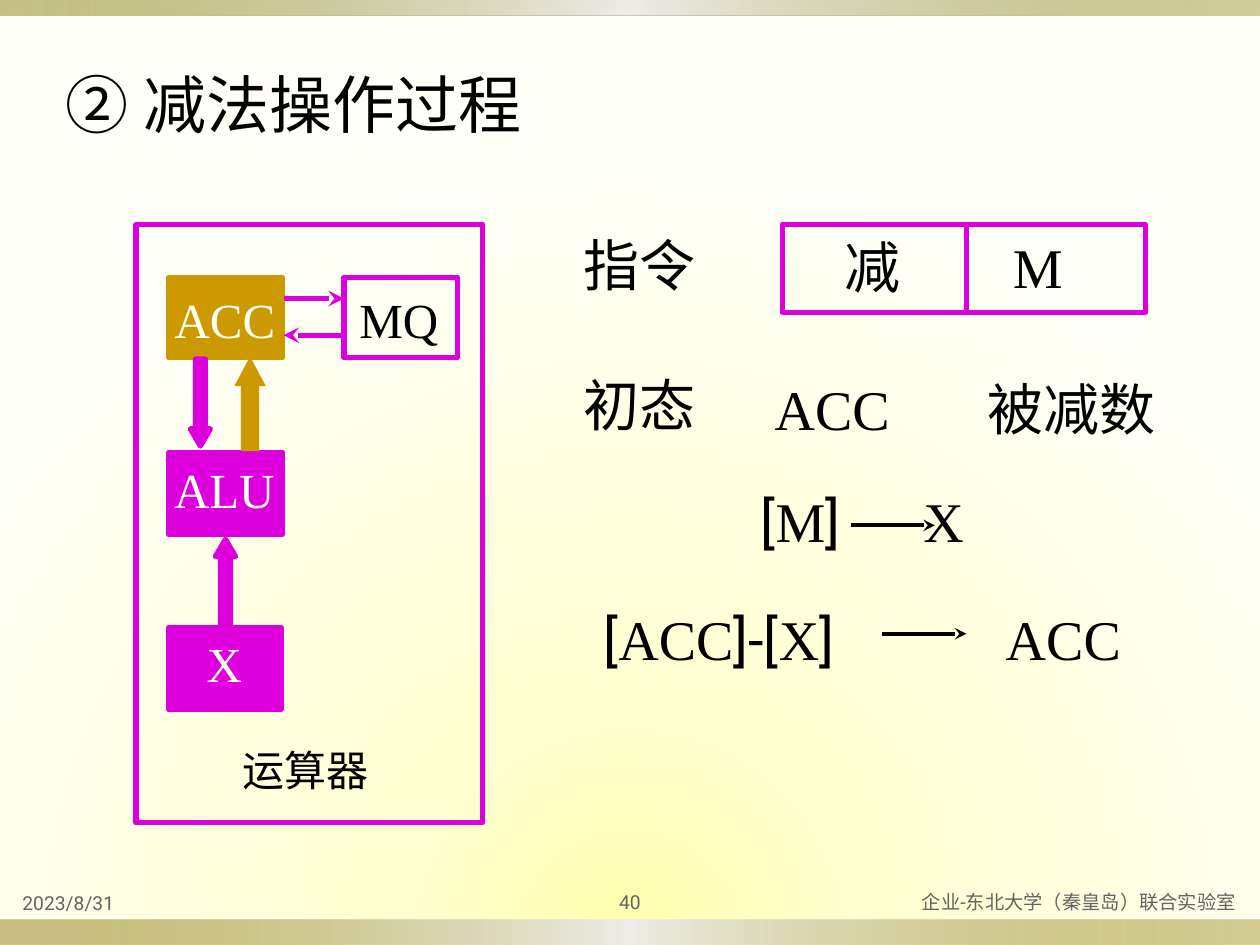
from typing import NamedTuple

from pptx import Presentation
from pptx.dml.color import RGBColor
from pptx.enum.shapes import MSO_CONNECTOR as Conn, MSO_SHAPE as Form
from pptx.enum.text import MSO_ANCHOR as Anchor, PP_ALIGN as Align
from pptx.oxml import parse_xml
from pptx.oxml.ns import nsdecls, qn
from pptx.util import Emu, Pt

PX = 9144  # 100 px to the inch
PINK, GOLD, BLACK, CREAM, GREY = "DD00DD", "CC9900", "000000", "FFFFF4", "636363"
SANS, SERIF = "Roboto", "Times New Roman"


class Box(NamedTuple):
    x: int
    y: int
    w: int
    h: int
    fill: str | None = None
    line: str | None = PINK


class Arrow(NamedTuple):
    box: Box
    shaft: float
    head: float
    turn: int = 0


class Line(NamedTuple):
    x1: int
    y1: int
    x2: int
    y2: int
    color: str = PINK
    width: float = 3
    tip: bool = True


class Label(NamedTuple):
    x: int
    y: int
    w: int
    h: int
    runs: list[tuple[str, str]]
    size: int = 32
    color: str = BLACK
    align: Align = Align.LEFT
    anchor: Anchor = Anchor.TOP
    inset: int | None = None
    tab: int | None = None


def px(n: int) -> Emu:
    return Emu(n * PX)


def rgb(code: str) -> RGBColor:
    return RGBColor.from_string(code)


def blend(parent, stops: list[tuple[int, str, int]], shade: str) -> None:
    """Swap the solid fill in parent for a gradient of (place, colour, alpha)."""
    marks = "".join(
        f'<a:gs pos="{at * 1000}"><a:srgbClr val="{code}">'
        f'<a:alpha val="{alpha * 1000}"/></a:srgbClr></a:gs>'
        for at, code, alpha in stops)
    grad = parse_xml(f'<a:gradFill {nsdecls("a")} rotWithShape="1">'
                     f"<a:gsLst>{marks}</a:gsLst>{shade}</a:gradFill>")
    parent.replace(parent.find(qn("a:solidFill")), grad)


def draw_box(slide, box: Box, form: Form = Form.RECTANGLE):
    shape = slide.shapes.add_shape(form, *map(px, box[:4]))
    shape.shadow.inherit = False
    if box.fill:
        shape.fill.solid()
        shape.fill.fore_color.rgb = rgb(box.fill)
    else:
        shape.fill.background()
    if box.line:
        shape.line.color.rgb = rgb(box.line)
        shape.line.width = Pt(3)
    else:
        shape.line.fill.background()
    return shape


def draw_arrow(slide, arrow: Arrow) -> None:
    shape = draw_box(slide, arrow.box, Form.UP_ARROW)
    shape.adjustments[0] = arrow.shaft
    shape.adjustments[1] = arrow.head
    shape.rotation = arrow.turn


def draw_line(slide, line: Line) -> None:
    link = slide.shapes.add_connector(Conn.STRAIGHT, *map(px, line[:4]))
    link.line.color.rgb = rgb(line.color)
    link.line.width = Pt(line.width)
    if line.tip:
        link.line._get_or_add_ln().append(
            parse_xml(f'<a:tailEnd {nsdecls("a")} type="stealth"/>'))
    link._element.spPr.append(parse_xml(f'<a:effectLst {nsdecls("a")}/>'))


def draw_label(slide, label: Label) -> None:
    frame = slide.shapes.add_textbox(*map(px, label[:4])).text_frame
    frame.word_wrap = label.align != Align.CENTER
    frame.vertical_anchor = label.anchor
    if label.inset is not None:
        frame.margin_left = frame.margin_right = px(label.inset)
        frame.margin_top = frame.margin_bottom = px(label.inset)
    para = frame.paragraphs[0]
    para.alignment = label.align
    if label.tab:
        para._p.get_or_add_pPr().append(parse_xml(
            f'<a:tabLst {nsdecls("a")}>'
            f'<a:tab pos="{px(label.tab)}" algn="l"/></a:tabLst>'))
    for text, face in label.runs:
        run = para.add_run()
        run.text = text
        run.font.size = Pt(label.size)
        run.font.name = face
        run.font.color.rgb = rgb(label.color)
        run._r.rPr.append(parse_xml(f'<a:ea {nsdecls("a")} typeface="{face}"/>'))


def unit(x: int, y: int, w: int, h: int, text: str, color: str = CREAM) -> Label:
    return Label(x, y, w, h, [(text, SERIF)], 28, color, Align.CENTER, inset=0)


FRAMES = [
    Box(108, 178, 275, 475),            # arithmetic unit
    Box(273, 220, 90, 64),              # MQ
    Box(621, 178, 288, 70),             # instruction
    Box(134, 498, 89, 65, PINK),        # X
    Box(134, 359, 90, 65, PINK),        # ALU
    Box(134, 220, 90, 64, GOLD, GOLD),  # ACC
]
ARROWS = [
    Arrow(Box(171, 428, 16, 69, PINK), 0.495, 0.857),
    Arrow(Box(151, 285, 16, 69, PINK), 0.495, 0.857, 180),
    Arrow(Box(186, 283, 25, 75, GOLD, None), 0.583, 0.938),
]
LINES = [
    Line(225, 237, 273, 237),
    Line(273, 266, 225, 266),
    Line(767, 177, 767, 249, tip=False),
    Line(675, 417, 742, 417, BLACK, 2.25),
    Line(700, 503, 767, 503, BLACK, 2.25),
]
LABELS = [
    Label(42, 47, 533, 70, [("② 减法操作过程", SANS)], 36),
    # Arithmetic unit
    Label(192, 591, 101, 40, [("运算器", SANS)], 24, align=Align.CENTER, inset=0),
    unit(283, 230, 67, 47, "MQ", BLACK),
    unit(136, 230, 85, 48, "ACC"),
    unit(137, 365, 82, 47, "ALU"),
    unit(164, 503, 28, 47, "X"),
    # Instruction and steps
    Label(453, 178, 131, 63, [("指令", SANS)]),
    Label(660, 180, 65, 63, [("减", SANS)], align=Align.CENTER),
    Label(794, 180, 89, 63, [("M", SERIF)]),
    Label(453, 289, 132, 63, [("初态", SANS)]),
    Label(605, 292, 354, 63, [("ACC\t", SERIF), ("被减数", SANS)], tab=169),
    Label(594, 381, 348, 63,
          [("[", SANS), ("M", SERIF), ("]\t", SANS), ("X", SERIF)], tab=129),
    Label(440, 475, 261, 63, [("[", SANS), ("ACC", SERIF), ("]-[", SANS),
                              ("X", SERIF), ("]", SANS)], align=Align.CENTER),
    Label(786, 475, 116, 63, [("ACC", SERIF)], align=Align.CENTER),
    # Footer
    Label(8, 700, 350, 31, [("2023/8/31", SANS)], 11, GREY, anchor=Anchor.BOTTOM),
    Label(583, 700, 408, 31, [("企业-东北大学（秦皇岛）联合实验室", SANS)], 11, GREY,
          Align.RIGHT, Anchor.MIDDLE),
    Label(450, 700, 100, 31, [("40", SANS)], 11, GREY, Align.CENTER,
          Anchor.MIDDLE, 5),
]


def main() -> None:
    deck = Presentation()
    deck.slide_width, deck.slide_height = px(1000), px(750)
    slide = deck.slides.add_slide(deck.slide_layouts[6])

    # Background glow and edge bars
    slide.background.fill.solid()
    blend(slide._element.find(".//" + qn("p:bgPr")),
          [(0, "FFFFAC", 100), (31, "FFFFD2", 100), (100, "FFFFF7", 100)],
          '<a:path path="circle"><a:fillToRect l="50000" t="150000" '
          'r="50000" b="0"/></a:path>')
    for top, tall in ((730, 20), (0, 12)):
        bar = draw_box(slide, Box(0, top, 1000, tall, GOLD, None))
        blend(bar._element.spPr,
              [(0, "918415", 50), (50, "EEEDE8", 100), (100, "918415", 40)],
              '<a:lin ang="0" scaled="1"/>')

    # Diagram and text
    for box in FRAMES:
        draw_box(slide, box)
    for arrow in ARROWS:
        draw_arrow(slide, arrow)
    for line in LINES:
        draw_line(slide, line)
    for label in LABELS:
        draw_label(slide, label)

    deck.save("out.pptx")


if __name__ == "__main__":
    main()
